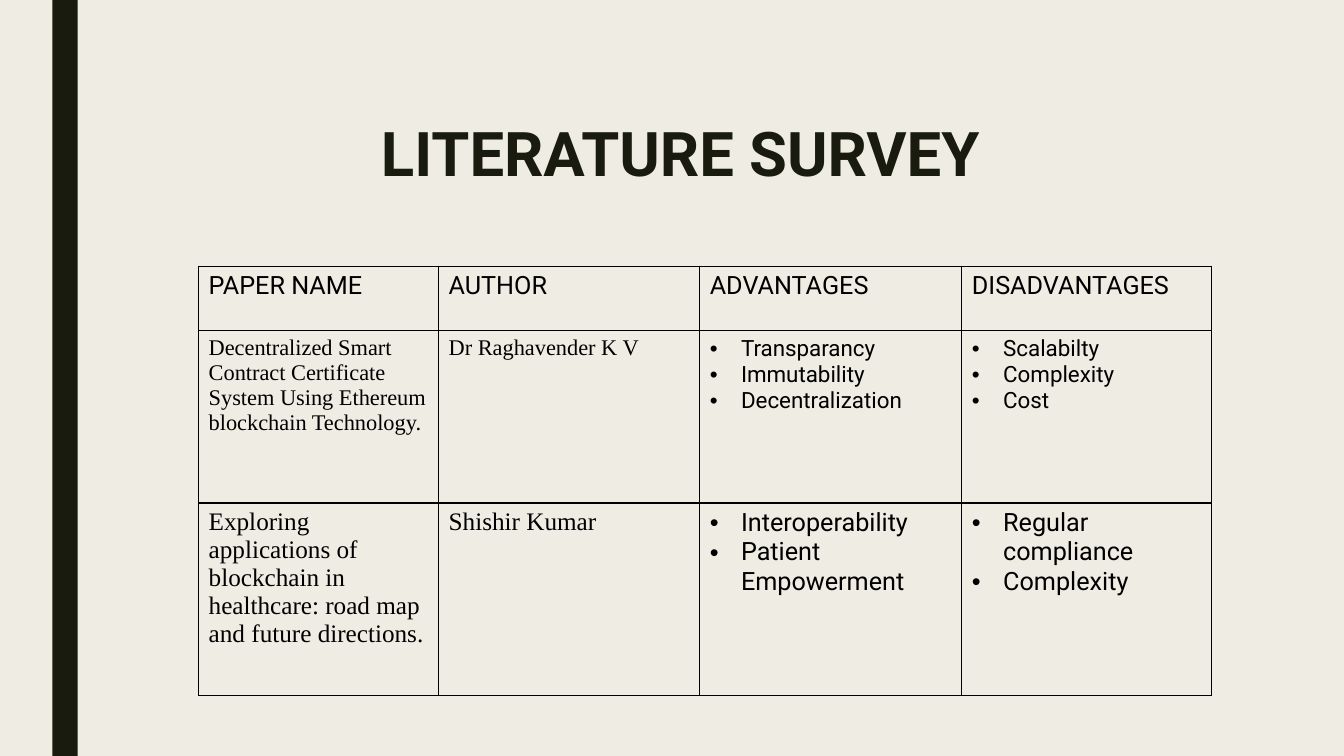
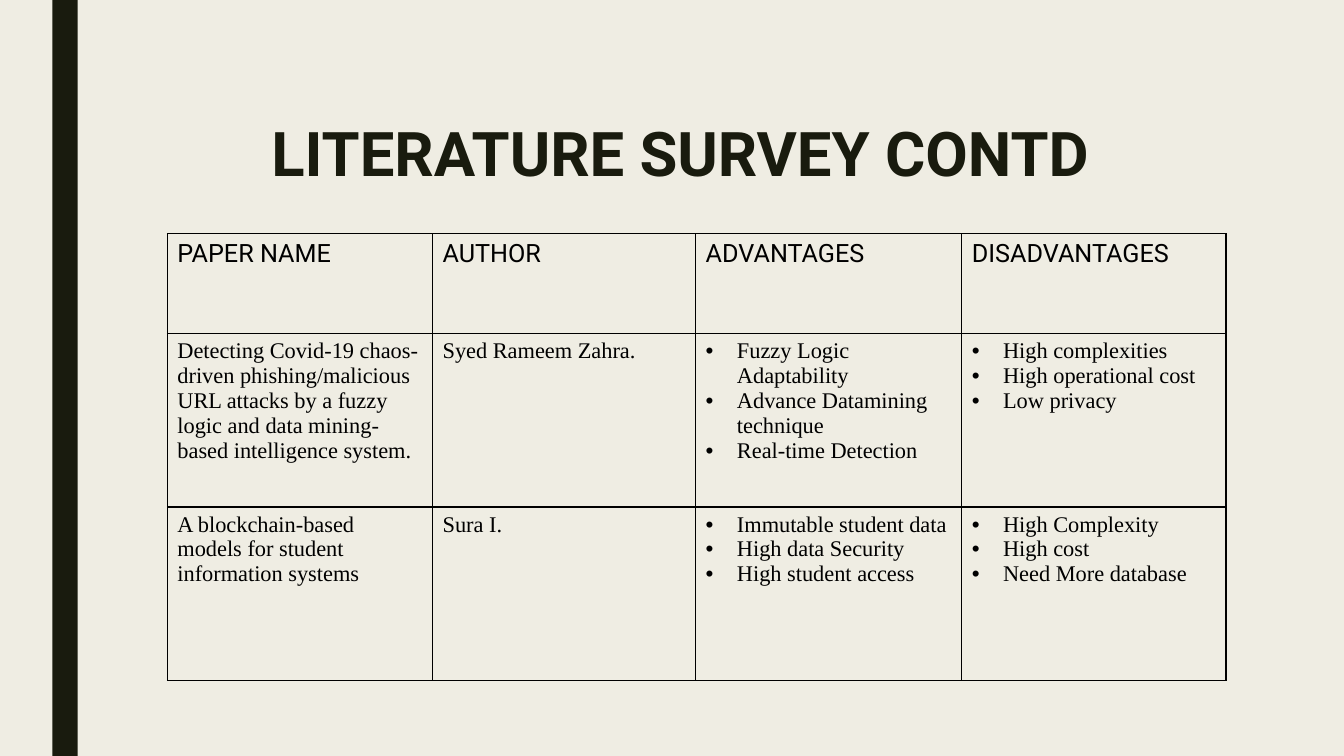
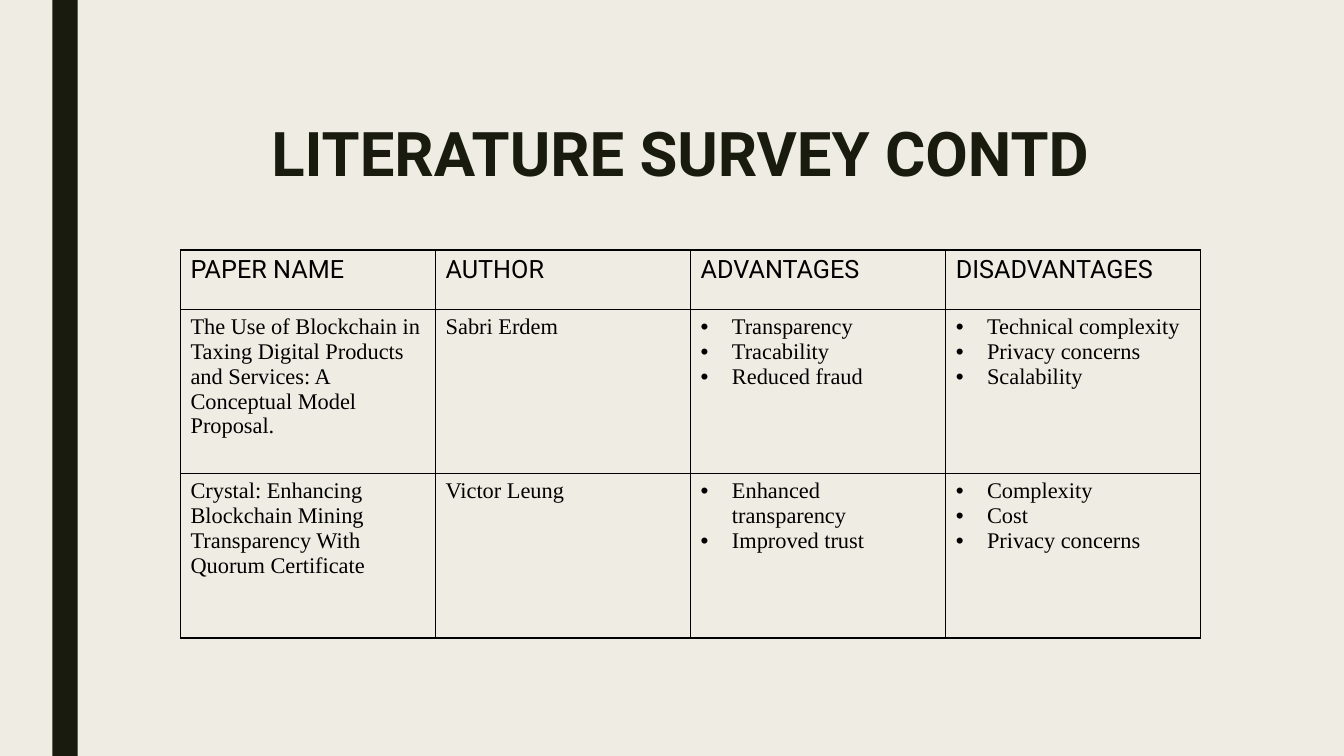
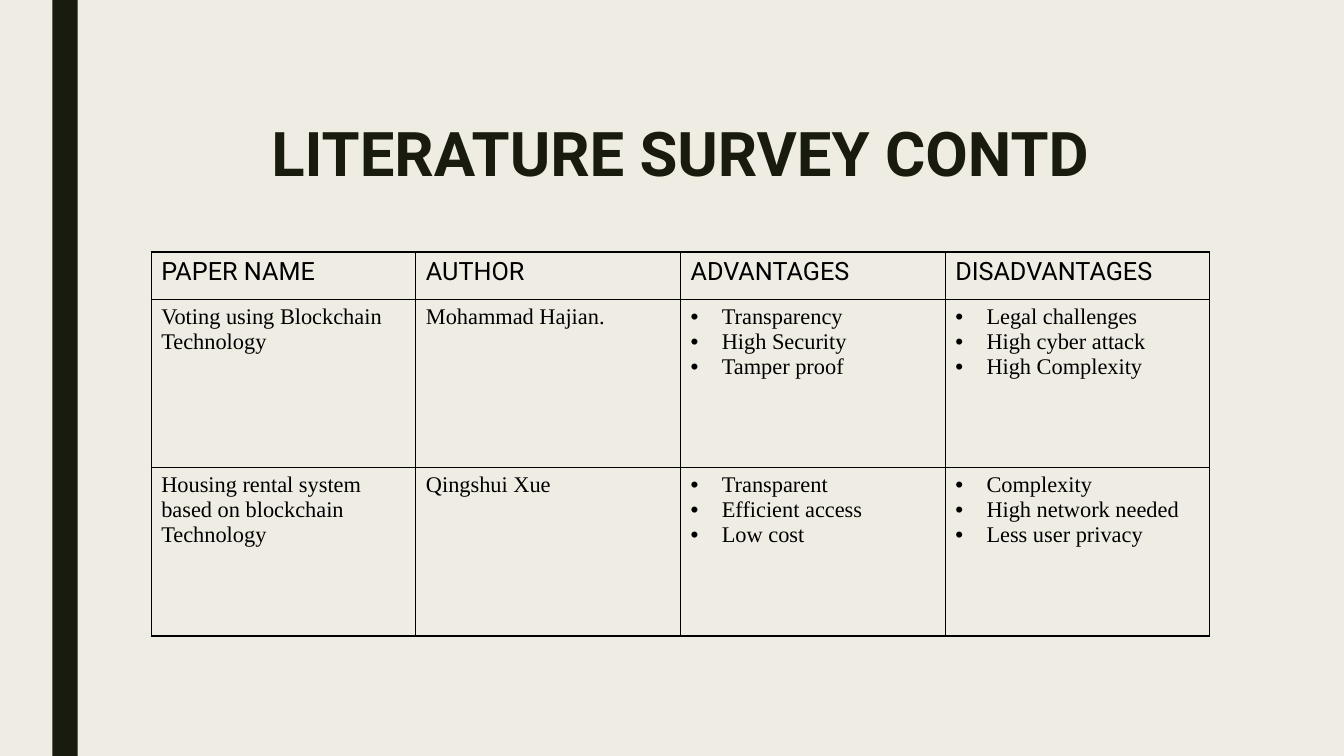
from lxml.etree import SubElement as Sub
from pptx import Presentation
from pptx.dml.color import RGBColor
from pptx.enum.shapes import MSO_SHAPE as Shape
from pptx.enum.text import MSO_ANCHOR as Anchor, PP_ALIGN as Align
from pptx.oxml.ns import qn
from pptx.util import Inches, Pt

PAPER, DARK, BLACK = "EFEDE3", "191B0E", "000000"
SANS, SERIF = "Roboto", "Times New Roman"
TITLE = {"size": Pt(44), "name": SANS, "bold": True}
HEAD = {"size": Pt(18), "name": SANS}
TITLE_BOX = {"left": 1.5, "top": 0.75, "width": 10.5, "height": 1.62}
INDENT = Inches(0.31)

HEADS = ["PAPER NAME", "AUTHOR", "ADVANTAGES", "DISADVANTAGES"]

# Each paper: name, author, advantages, disadvantages.
# "sizes" holds the text size of each paper row; lists are bulleted.
SLIDES = [
    {
        "title": "LITERATURE SURVEY",
        "at": (1.97, 2.64),
        "cols": [2.38, 2.59, 2.6, 2.48],
        "rows": [0.64, 1.71, 1.91],
        "sizes": [16, 18],
        "list_font": SANS,
        "papers": [
            ["Decentralized Smart Contract Certificate System Using "
             "Ethereum blockchain Technology.",
             "Dr Raghavender K V",
             ["Transparancy", "Immutability", "Decentralization"],
             ["Scalabilty", "Complexity", "Cost"]],
            ["Exploring applications of blockchain in healthcare: "
             "road map and future directions.",
             "Shishir Kumar",
             ["Interoperability", "Patient Empowerment"],
             ["Regular compliance", "Complexity"]],
        ],
    },
    {
        "title": "LITERATURE SURVEY CONTD",
        "at": (1.66, 2.32),
        "cols": [2.63, 2.61, 2.64, 2.62],
        "rows": [0.99, 1.72, 1.72],
        "sizes": [16, 16],
        "list_font": SERIF,
        "papers": [
            ["Detecting Covid-19 chaos-driven phishing/malicious URL attacks "
             "by a fuzzy logic and data mining-based intelligence system.",
             "Syed Rameem Zahra.",
             ["Fuzzy Logic Adaptability", "Advance Datamining technique",
              "Real-time Detection"],
             ["High complexities", "High operational cost", "Low privacy"]],
            ["A blockchain-based models for student information systems",
             "Sura I.",
             ["Immutable student data", "High data Security",
              "High student access"],
             ["High Complexity", "High cost", "Need More database"]],
        ],
    },
    {
        "title": "LITERATURE SURVEY CONTD",
        "at": (1.79, 2.48),
        "cols": [2.53] * 4,
        "rows": [0.59, 1.63, 1.63],
        "sizes": [16, 16],
        "list_font": SERIF,
        "papers": [
            ["The Use of Blockchain in Taxing Digital Products and Services: "
             "A Conceptual Model Proposal.",
             "Sabri Erdem",
             ["Transparency", "Tracability", "Reduced fraud"],
             ["Technical complexity", "Privacy concerns", "Scalability"]],
            ["Crystal: Enhancing Blockchain Mining Transparency With "
             "Quorum Certificate",
             "Victor Leung",
             ["Enhanced transparency", "Improved trust"],
             ["Complexity", "Cost", "Privacy concerns"]],
        ],
    },
    {
        "title": "LITERATURE SURVEY CONTD",
        "at": (1.5, 2.5),
        "cols": [2.625] * 4,
        "rows": [0.47, 1.67, 1.67],
        "sizes": [16, 16],
        "list_font": SERIF,
        "papers": [
            ["Voting using Blockchain Technology",
             "Mohammad Hajian.",
             ["Transparency", "High Security", "Tamper proof"],
             ["Legal challenges", "High cyber attack", "High Complexity"]],
            ["Housing rental system based on blockchain Technology",
             "Qingshui Xue",
             ["Transparent", "Efficient access", "Low cost"],
             ["Complexity", "High network needed", "Less user privacy"]],
        ],
    },
]


def rgb(code):
    return RGBColor.from_string(code)


def write(para, text, style, color=BLACK):
    run = para.add_run()
    run.text = text
    for key, value in style.items():
        setattr(run.font, key, value)
    run.font.color.rgb = rgb(color)


def bullet(para):
    props = para._p.get_or_add_pPr()
    props.set("marL", str(INDENT))
    props.set("indent", str(-INDENT))
    Sub(props, qn("a:buFont"), typeface="Arial")
    Sub(props, qn("a:buChar"), char="•")


def border(cell):
    props = cell._tc.get_or_add_tcPr()
    for side in ("lnL", "lnR", "lnT", "lnB"):
        line = Sub(props, qn("a:" + side), w=str(Pt(1)))
        fill = Sub(line, qn("a:solidFill"))
        Sub(fill, qn("a:srgbClr"), val=BLACK)


def fill_cell(cell, item, style):
    """Write a text, or a list as bullets, in a clear bordered cell."""
    border(cell)
    cell.fill.background()
    frame = cell.text_frame
    listed = isinstance(item, list)
    for i, text in enumerate(item if listed else [item]):
        para = frame.add_paragraph() if i else frame.paragraphs[0]
        if listed:
            bullet(para)
        write(para, text, style)


def add_survey(slide, data):
    cols, rows = data["cols"], data["rows"]
    box = [Inches(n) for n in (*data["at"], sum(cols), sum(rows))]
    table = slide.shapes.add_table(len(rows), len(cols), *box).table
    table.first_row = table.horz_banding = False
    for col, width in zip(table.columns, cols):
        col.width = Inches(width)
    for row, height in zip(table.rows, rows):
        row.height = Inches(height)
    for c, head in enumerate(HEADS):
        fill_cell(table.cell(0, c), head, HEAD)
    for r, (paper, size) in enumerate(zip(data["papers"], data["sizes"]), 1):
        for c, item in enumerate(paper):
            font = data["list_font"] if isinstance(item, list) else SERIF
            fill_cell(table.cell(r, c), item, {"size": Pt(size), "name": font})


def add_title(slide, text):
    frame = slide.shapes.title.text_frame
    frame.vertical_anchor = Anchor.MIDDLE
    para = frame.paragraphs[0]
    para.alignment = Align.CENTER
    para.line_spacing = 0.89
    write(para, text, TITLE, DARK)


def add_band(slide, master):
    """Draw the side band and move it to the master, behind the rest."""
    band = slide.shapes.add_shape(
        Shape.RECTANGLE, Inches(0.52), 0, Inches(0.25), Inches(7.5))
    band.shadow.inherit = False
    band.fill.solid()
    band.fill.fore_color.rgb = rgb(DARK)
    band.line.fill.background()
    master.shapes.element.insert(2, band.element)


def main():
    prs = Presentation()
    prs.slide_width, prs.slide_height = Inches(13.33), Inches(7.5)
    master, layout = prs.slide_master, prs.slide_layouts[5]
    master.background.fill.solid()
    master.background.fill.fore_color.rgb = rgb(PAPER)
    for key, value in TITLE_BOX.items():
        setattr(layout.placeholders[0], key, Inches(value))
    for data in SLIDES:
        slide = prs.slides.add_slide(layout)
        add_title(slide, data["title"])
        add_survey(slide, data)
    add_band(prs.slides[0], master)
    prs.save("out.pptx")


if __name__ == "__main__":
    main()
